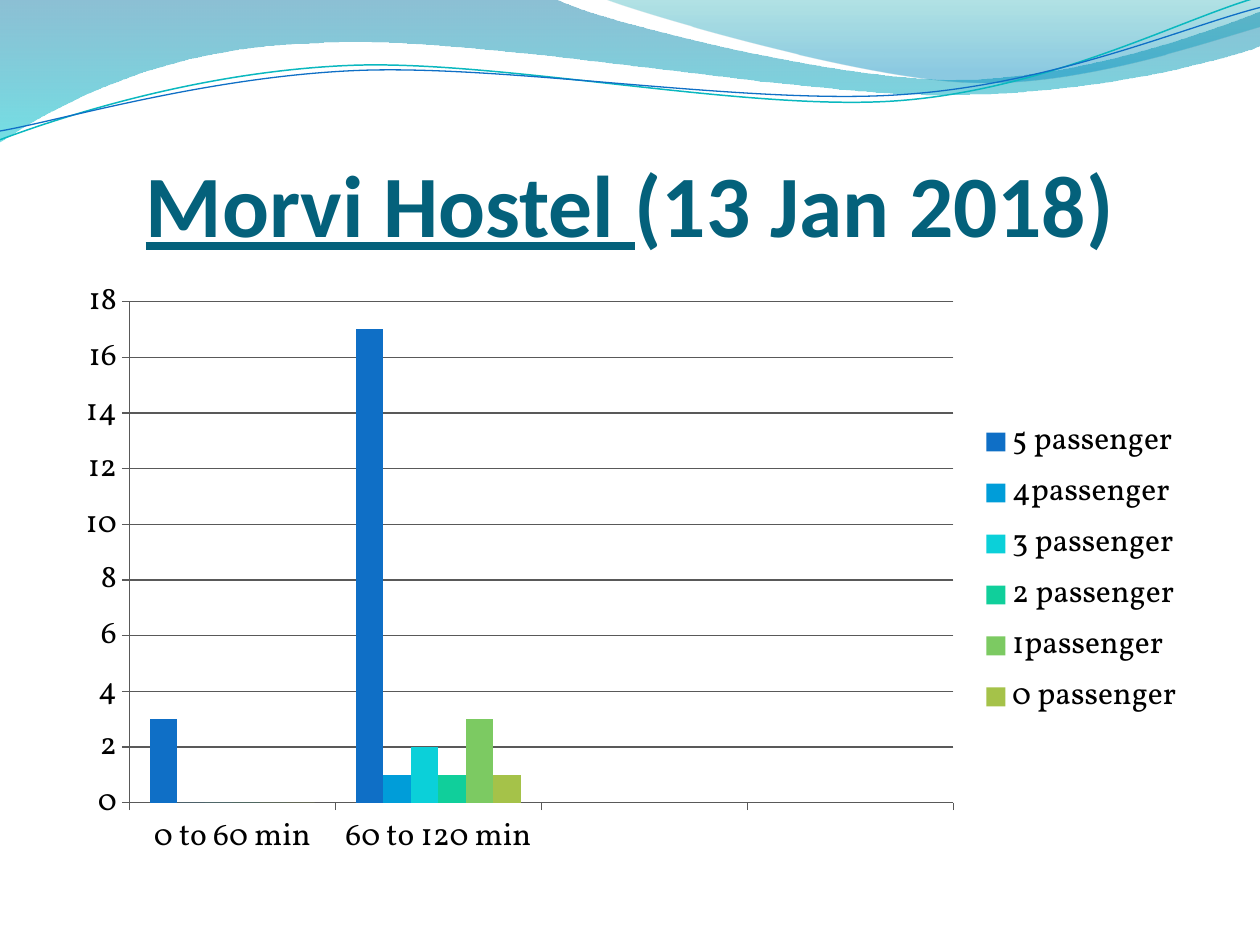
from dataclasses import dataclass
from math import cos, radians, sin

from lxml.etree import SubElement
from pptx import Presentation
from pptx.chart.data import CategoryChartData
from pptx.dml.color import RGBColor
from pptx.enum.chart import XL_CHART_TYPE, XL_LEGEND_POSITION, XL_TICK_MARK
from pptx.enum.text import MSO_ANCHOR, PP_ALIGN
from pptx.oxml.ns import qn
from pptx.util import Inches, Pt


@dataclass(frozen=True)
class Theme:
    title_font: str = "Calibri"
    chart_font: str = "Vollkorn"
    title_size: int = 50
    chart_size: int = 18
    title: str = "04617B"
    text: str = "000000"
    axis: str = "595959"
    teal_line: str = "0AB8BF"
    blue_line: str = "0F6FC6"
    wide_wave: tuple = ((0, "0074A1", 45), (1, "00C6CF", 55))
    right_wave: tuple = ((0, "00A1A9", 30), (0.8, "008BBF", 45))
    series: tuple = ("0F6FC6", "009DD9", "0BD0D9", "10CF9B", "7CCA62", "A5C249")


THEME = Theme()
CURVE_TILT = -2.7
CURVE_CENTER = (5, 0.58)

WIDE_WAVE = [
    (0, 0), (4.4, -0.01),
    (4.76, 0.17, 6.64, 0.63, 7.58, 0.63),
    (8.53, 0.63, 9.58, 0.26, 10, 0.09),
    (10.01, 0.36),
    (9.83, 0.44, 8.7, 0.76, 7.46, 0.75),
    (6.22, 0.75, 3.82, 0.28, 2.57, 0.34),
    (1.29, 0.36, 0.46, 0.83, -0.01, 1.13),
    (0, 0),
]
RIGHT_WAVE = [
    (4.79, -0.01),
    (5.09, 0.11, 6.82, 0.62, 7.69, 0.65),
    (8.56, 0.69, 9.61, 0.32, 10, 0.21),
    (10, 0), (4.79, -0.01),
]
TEAL_CURVE = [
    (0, 1.11),
    (0.48, 0.93, 1.58, 0.57, 2.77, 0.52),
    (3.95, 0.47, 5.93, 0.89, 7.13, 0.8),
    (8.33, 0.71, 9.38, 0.15, 9.98, -0.02),
]
BLUE_CURVE = [
    (0, 1.04),
    (0.47, 0.96, 1.64, 0.61, 2.83, 0.56),
    (4.03, 0.51, 5.97, 0.84, 7.17, 0.75),
    (8.36, 0.67, 9.41, 0.21, 10, 0.06),
]

CATEGORIES = ["0 to 60 min", "60 to 120 min", "", ""]
PASSENGERS = {
    "5 passenger": (3, 17),
    "4passenger": (0, 1),
    "3 passenger": (0, 2),
    "2 passenger": (0, 1),
    "1passenger": (0, 3),
    "0 passenger": (0, 1),
}


def color(value):
    return RGBColor.from_string(value)


def turn(point, degrees):
    angle = radians(degrees)
    x, y = (value - middle for value, middle in zip(point, CURVE_CENTER))
    return (
        CURVE_CENTER[0] + x * cos(angle) - y * sin(angle),
        CURVE_CENTER[1] + x * sin(angle) + y * cos(angle),
    )


def add_outline(shapes, segments, close, tilt=0):
    points = [
        turn(pair, -tilt)
        for segment in segments
        for pair in zip(segment[::2], segment[1::2])
    ]
    start, *rest = [(Inches(x), Inches(y)) for x, y in points]
    builder = shapes.build_freeform(*start)
    builder.add_line_segments(rest, close=close)
    shape = builder.convert_to_shape()
    shape.shadow.inherit = False
    shape.rotation = tilt
    lines = iter(list(shape.element.spPr.iter(qn("a:lnTo"))))
    for segment in segments[1:]:
        line = next(lines)
        if len(segment) == 6:
            line.tag = qn("a:cubicBezTo")
            for _ in range(2):
                following = next(lines)
                line.append(following[0])
                following.getparent().remove(following)
    return shape


def add_wave(shapes, segments, stops):
    shape = add_outline(shapes, segments, close=True)
    shape.line.fill.background()
    shape.fill.gradient()
    shape.fill.gradient_angle = 270
    for stop, (position, value, _) in zip(shape.fill.gradient_stops, stops):
        stop.position = position
        stop.color.rgb = color(value)
    tints = shape.element.spPr.iter(qn("a:srgbClr"))
    for tint, (_, _, opacity) in zip(list(tints), stops):
        SubElement(tint, qn("a:alpha")).set("val", str(opacity * 1000))


def add_curve(shapes, segments, value, width):
    shape = add_outline(shapes, segments, close=False, tilt=CURVE_TILT)
    shape.fill.background()
    shape.line.color.rgb = color(value)
    shape.line.width = Pt(width)


def add_title(slide):
    box = slide.shapes.add_textbox(Inches(0.5), Inches(0.77), Inches(9), Inches(1.25))
    frame = box.text_frame
    frame.word_wrap = True
    frame.vertical_anchor = MSO_ANCHOR.BOTTOM
    frame.margin_left = frame.margin_right = frame.margin_bottom = 0
    frame.margin_top = Inches(0.05)
    paragraph = frame.paragraphs[0]
    paragraph.alignment = PP_ALIGN.CENTER
    paragraph.font.name = THEME.title_font
    paragraph.font.size = Pt(THEME.title_size)
    paragraph.font.bold = True
    paragraph.font.color.rgb = color(THEME.title)
    for text, underline in (("Morvi Hostel ", True), ("(13 Jan 2018)", False)):
        run = paragraph.add_run()
        run.text = text
        run.font.underline = underline


def style_line(line):
    line.color.rgb = color(THEME.axis)
    line.width = Pt(0.75)


def style_axis(axis):
    axis.major_tick_mark = XL_TICK_MARK.OUTSIDE
    axis.minor_tick_mark = XL_TICK_MARK.NONE
    style_line(axis.format.line)


def add_passenger_chart(slide):
    data = CategoryChartData()
    data.categories = CATEGORIES
    for name, values in PASSENGERS.items():
        data.add_series(name, (*values, None, None))
    chart = slide.shapes.add_chart(
        XL_CHART_TYPE.COLUMN_CLUSTERED,
        Inches(0.5), Inches(2.12), Inches(9), Inches(4.8), data,
    ).chart
    chart.has_title = False
    chart.font.name = THEME.chart_font
    chart.font.size = Pt(THEME.chart_size)
    chart.font.color.rgb = color(THEME.text)
    chart.has_legend = True
    chart.legend.position = XL_LEGEND_POSITION.RIGHT
    chart.legend.include_in_layout = False
    style_axis(chart.category_axis)
    style_axis(chart.value_axis)
    style_line(chart.value_axis.major_gridlines.format.line)
    plot = chart.plots[0]
    plot.gap_width = 150
    plot.overlap = 0
    plot.vary_by_categories = False
    for series, value in zip(plot.series, THEME.series):
        series.format.fill.solid()
        series.format.fill.fore_color.rgb = color(value)


def main():
    presentation = Presentation()
    presentation.slide_width = Inches(10)
    presentation.slide_height = Inches(7.5)
    slide = presentation.slides.add_slide(presentation.slide_layouts[6])
    add_wave(slide.shapes, WIDE_WAVE, THEME.wide_wave)
    add_wave(slide.shapes, RIGHT_WAVE, THEME.right_wave)
    curves = slide.shapes.add_group_shape().shapes
    add_curve(curves, TEAL_CURVE, THEME.teal_line, 0.85)
    add_curve(curves, BLUE_CURVE, THEME.blue_line, 0.75)
    add_title(slide)
    add_passenger_chart(slide)
    presentation.save("out.pptx")


if __name__ == "__main__":
    main()
